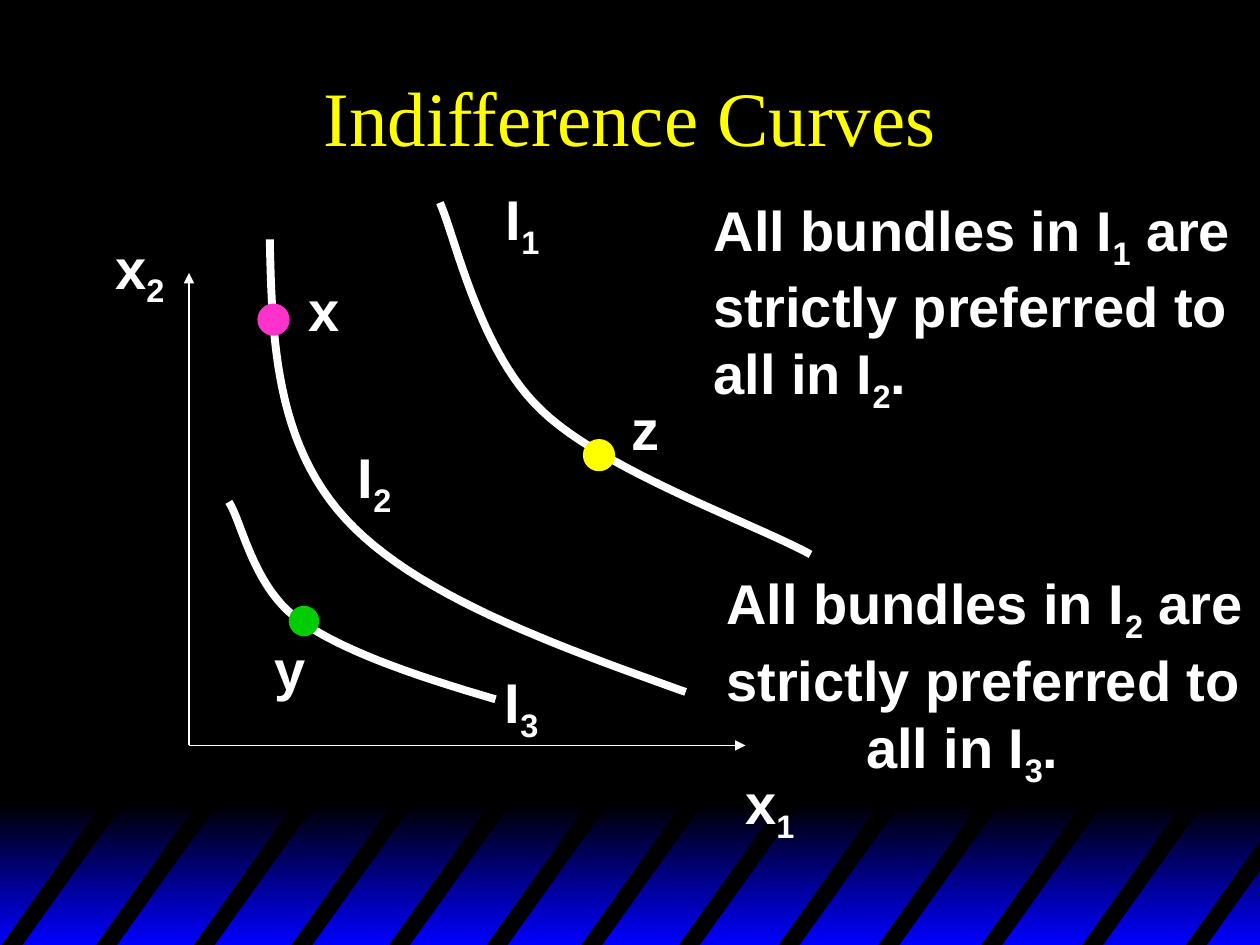
from lxml.etree import SubElement
from pptx import Presentation
from pptx.dml.color import RGBColor
from pptx.enum.shapes import MSO_CONNECTOR, MSO_SHAPE
from pptx.enum.text import MSO_ANCHOR, PP_ALIGN
from pptx.oxml.ns import qn
from pptx.util import Inches, Pt

WHITE, BLACK, YELLOW = "FFFFFF", "000000", "FFFF00"
PINK, GREEN, BLUE = "FF33CC", "00CC00", "0000FF"


def rgb(value):
    return RGBColor.from_string(value)


def unit(n):
    """Length of n grid cells; the slide has 120 columns and 90 rows."""
    return Inches(n / 12)


def bezier(p0, p1, p2, p3, steps=24):
    """Points after p0 on a cubic curve."""
    for i in range(1, steps + 1):
        t = i / steps
        u = 1 - t
        weights = (u**3, 3 * u * u * t, 3 * u * t * t, t**3)
        yield tuple(sum(w * p[axis] for w, p in zip(weights, (p0, p1, p2, p3)))
                    for axis in (0, 1))


class Deck:
    def __init__(self):
        self.prs = Presentation()
        self.prs.slide_width, self.prs.slide_height = unit(120), unit(90)
        self.s = self.prs.slides.add_slide(self.prs.slide_layouts[5])
        self.shapes = self.s.shapes
        fill = self.s.background.fill
        fill.solid()
        fill.fore_color.rgb = rgb(BLACK)

    def style(self, sp, fill=None, line=None, width=1.0):
        sp.shadow.inherit = False
        if fill:
            sp.fill.solid()
            sp.fill.fore_color.rgb = rgb(fill)
        else:
            sp.fill.background()
        if line:
            sp.line.color.rgb = rgb(line)
            sp.line.width = Pt(width)
        else:
            sp.line.fill.background()

    def font(self, r, size, name, color, bold=False):
        r.font.size, r.font.name, r.font.bold = Pt(size), name, bold
        r.font.color.rgb = rgb(color)

    def title(self, text, *box):
        sp = self.shapes.title
        sp.left, sp.top, sp.width, sp.height = map(unit, box)
        tf = sp.text_frame
        tf.text = text
        tf.vertical_anchor = MSO_ANCHOR.MIDDLE
        p = tf.paragraphs[0]
        p.alignment = PP_ALIGN.CENTER
        self.font(p.runs[0], 44, "Times New Roman", YELLOW)

    def text(self, paragraphs, *box, wrap=False, last_indent=0):
        """Parts between bars are set as subscripts."""
        tf = self.shapes.add_textbox(*map(unit, box)).text_frame
        tf.word_wrap = wrap
        for i, line in enumerate(paragraphs):
            p = tf.paragraphs[0] if i == 0 else tf.add_paragraph()
            for j, part in enumerate(line.split("|")):
                if not part:
                    continue
                r = p.add_run()
                r.text = part
                self.font(r, 32, "Arial", WHITE, bold=True)
                if j % 2:
                    r._r.get_or_add_rPr().set("baseline", "-25000")
        if last_indent:
            p._p.get_or_add_pPr().set("marL", str(unit(last_indent)))

    def outline(self, points, close=False, **style):
        pts = [(unit(x), unit(y)) for x, y in points]
        builder = self.shapes.build_freeform(*pts[0])
        builder.add_line_segments(pts[1:], close=close)
        self.style(builder.convert_to_shape(), **style)

    def curve(self, *controls):
        points = [controls[0]]
        for i in range(0, len(controls) - 1, 3):
            points += bezier(*controls[i:i + 4])
        self.outline(points, line=WHITE, width=4.5)

    def arrow(self, start, end):
        sp = self.shapes.add_connector(
            MSO_CONNECTOR.STRAIGHT, *map(unit, (*start, *end)))
        sp.line.color.rgb = rgb(WHITE)
        sp.line.width = Pt(1)
        SubElement(sp.line._get_or_add_ln(), qn("a:tailEnd"), type="triangle")
        SubElement(sp._element.spPr, qn("a:effectLst"))

    def dot(self, x, y, color, line=None):
        sp = self.shapes.add_shape(
            MSO_SHAPE.OVAL, *map(unit, (x, y, 2.9, 2.9)))
        self.style(sp, fill=color, line=line)

    def gradient_band(self, *box):
        sp = self.shapes.add_shape(MSO_SHAPE.RECTANGLE, *map(unit, box))
        self.style(sp)
        sp.fill.gradient()
        sp.fill.gradient_angle = 270
        for stop, color in zip(sp.fill.gradient_stops, (BLACK, BLUE)):
            stop.color.rgb = rgb(color)

    def stripe(self, x, top=76.1, bottom=90.2, run=10.05, width=2, edge=120.2):
        """Slanted bar, cut off at the right edge of the band."""
        def upper(left):
            share = min(1, (edge - left) / run)
            return left + share * run, bottom - share * (bottom - top)
        self.outline([(x, bottom), upper(x), upper(x + width),
                      (x + width, bottom)], close=True, fill=BLACK)


def main():
    deck = Deck()

    # Striped band at the foot
    deck.gradient_band(0, 76.6, 120.2, 13.4)
    for x in (0, 9, 18.3, 27.6, 36.9, 46.2, 55.2, 64.5, 74, 83.5, 93.3,
              102.9, 112.8):
        deck.stripe(x)

    deck.title("Indifference Curves", 9, 3, 102, 16)

    # Axes
    origin = (18, 71)
    deck.arrow(origin, (18, 26))
    deck.arrow(origin, (71, 71))

    # Labels of axes, bundles and curves
    for label, *box in (
        ("x|2|", 9.8, 21.6, 7.1, 8.5),
        ("x|1|", 69.8, 72.6, 7.1, 8.5),
        ("x", 28.2, 25.6, 5.4, 7.6),
        ("y", 25, 59.8, 7, 7.6),
        ("z", 59, 37, 7.3, 7.6),
        ("I|1|", 47, 17, 8, 8.5),
        ("I|2|", 32.9, 41.6, 5.6, 8.5),
        ("I|3|", 46.9, 63, 5.6, 8.5),
    ):
        deck.text([label], *box)

    # Explanations
    deck.text(["All bundles in I|1| are", "strictly preferred to all in I|2|."],
              66.8, 18, 53.2, 22.2, wrap=True)
    deck.text(["All bundles in I|2| are strictly preferred to", "all in I|3|."],
              68, 53.6, 52, 22.2, wrap=True, last_indent=13.3)

    # Curves with their bundles
    deck.curve((25.7, 22.8), (25.9, 32.5), (26.3, 42.2), (32.9, 49.4),
               (39.5, 56.6), (52.4, 61.3), (65.3, 65.9))
    deck.dot(24.6, 29, PINK, line=PINK)
    deck.curve((21.8, 47.8), (23, 49.6), (24.1, 55.8), (28.3, 58.9),
               (32.5, 62), (39.7, 64.4), (47.2, 66.6))
    deck.curve((41.9, 19.3), (43.4, 22.7), (45.7, 33.6), (51.6, 39.1),
               (57.5, 44.8), (71.9, 49.9), (77.2, 52.8))
    deck.dot(27.5, 57.7, GREEN)
    deck.dot(55.6, 41.9, YELLOW, line=YELLOW)

    deck.prs.save("out.pptx")


if __name__ == "__main__":
    main()
